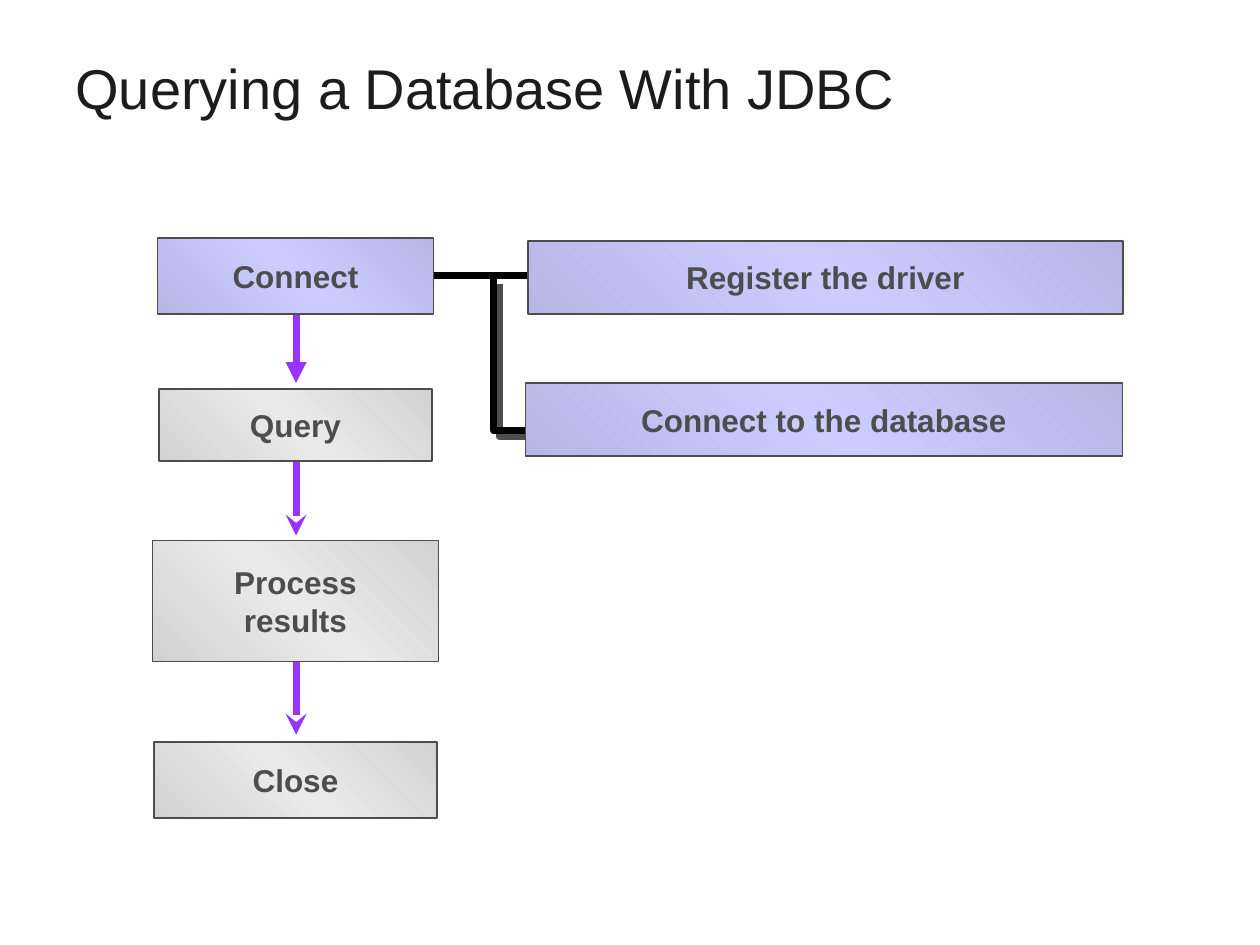
import copy

import pptx
import pptx.dml.color
import pptx.enum.shapes
import pptx.enum.text
import pptx.oxml
import pptx.oxml.ns
import pptx.util
from pptx.util import Inches

FONT = "Arial"
TITLE_COLOUR = "1C1C1C"
INK = "4D4D4D"
BLACK = "000000"
PURPLE = "9933FF"
GREY = ("D2D2D2", "EAEAEA", "D2D2D2")
LILAC = ("B7B7E5", "CCCCFF", "B7B7E5")
FLOW_X = 2.35


def colour(value):
    return pptx.dml.color.RGBColor.from_string(value)


def add_xml(parent, xml):
    namespace = pptx.oxml.ns.nsdecls("a")
    parent.append(pptx.oxml.parse_xml(xml.replace("/>", f" {namespace}/>", 1)
                                      if xml.endswith("/>") and xml.count("<") == 1
                                      else xml.replace(">", f" {namespace}>", 1)))


class Diagram:
    """Holds the style and the slide being drawn."""

    def __init__(self, slide):
        self.slide = slide
        self.shapes = slide.shapes

    def format_text(self, frame, size, text_colour, bold=False):
        for para in frame.paragraphs:
            for span in para.runs:
                span.font.name = FONT
                span.font.size = pptx.util.Pt(size)
                span.font.bold = bold
                span.font.color.rgb = colour(text_colour)

    def style_line(self, line, line_colour, width):
        line.color.rgb = colour(line_colour)
        line.width = pptx.util.Pt(width)

    def title(self, text):
        box = self.shapes.add_textbox(Inches(0.5), Inches(0.3), Inches(9), Inches(0.78))
        frame = box.text_frame
        frame.word_wrap = True
        frame.vertical_anchor = pptx.enum.text.MSO_ANCHOR.MIDDLE
        frame.text = text
        self.format_text(frame, 32, TITLE_COLOUR)

    def step(self, text, left, top, width, height, shades):
        """Draw a box whose gradient runs diagonally through three shades."""
        box = self.shapes.add_shape(pptx.enum.shapes.MSO_SHAPE.RECTANGLE, Inches(left),
                                    Inches(top), Inches(width), Inches(height))
        box.shadow.inherit = False
        self.style_line(box.line, INK, 1)
        box.fill.gradient()
        box.fill.gradient_angle = 45
        stops = box._element.spPr.find(".//" + pptx.oxml.ns.qn("a:gsLst"))
        stops.insert(1, copy.deepcopy(stops[0]))
        for index, (stop, shade) in enumerate(zip(box.fill.gradient_stops, shades)):
            stop.position = index / 2
            stop.color.rgb = colour(shade)

        frame = box.text_frame
        frame.word_wrap = False
        frame.vertical_anchor = pptx.enum.text.MSO_ANCHOR.MIDDLE
        frame.text = text
        para = frame.paragraphs[0]
        para.alignment = pptx.enum.text.PP_ALIGN.CENTER
        para.space_before = pptx.util.Pt(11.2)
        self.format_text(frame, 18, INK, bold=True)

    def line(self, start, end, line_colour, head=None):
        connector = self.shapes.add_connector(
            pptx.enum.shapes.MSO_CONNECTOR.STRAIGHT, *map(Inches, start + end))
        self.style_line(connector.line, line_colour, 4)
        if head:
            add_xml(connector.line._get_or_add_ln(), f'<a:tailEnd type="{head}"/>')
        add_xml(connector._element.spPr, "<a:effectLst/>")

    def down_arrow(self, top, head):
        self.line((FLOW_X, top), (FLOW_X, top + 0.58), PURPLE, head)

    def elbow(self, points):
        """Draw an open bent line with a hard shadow."""
        start, *rest = [tuple(map(Inches, point)) for point in points]
        builder = self.shapes.build_freeform(*start, scale=1.0)
        builder.add_line_segments(rest, close=False)
        bend = builder.convert_to_shape()
        bend.fill.background()
        self.style_line(bend.line, BLACK, 4)
        add_xml(bend.line._get_or_add_ln(), "<a:round/>")
        distance = pptx.util.Pt(4.2)
        add_xml(bend._element.spPr,
                f'<a:effectLst><a:outerShdw blurRad="0" dist="{distance}" dir="2700000">'
                f'<a:srgbClr val="{INK}"/></a:outerShdw></a:effectLst>')


def main():
    deck = pptx.Presentation()
    deck.slide_width, deck.slide_height = Inches(10), Inches(7.5)
    diagram = Diagram(deck.slides.add_slide(deck.slide_layouts[6]))

    diagram.title("Querying a Database With JDBC")

    diagram.down_arrow(2.46, "triangle")
    diagram.line((3.3, 2.19), (4.26, 2.19), BLACK)
    diagram.elbow([(3.92, 2.21), (3.92, 3.42), (4.5, 3.42)])

    for step in (
        ("Connect", 1.25, 1.89, 2.19, 0.6, LILAC),
        ("Query", 1.26, 3.09, 2.17, 0.57, GREY),
        ("Process\vresults", 1.21, 4.29, 2.27, 0.96, GREY),
        ("Close", 1.22, 5.89, 2.25, 0.6, GREY),
        ("Register the driver", 4.19, 1.91, 4.72, 0.58, LILAC),
        ("Connect to the database", 4.17, 3.04, 4.74, 0.58, LILAC),
    ):
        diagram.step(*step)

    for top in (3.67, 5.25):
        diagram.down_arrow(top, "stealth")

    deck.save("out.pptx")


if __name__ == "__main__":
    main()
